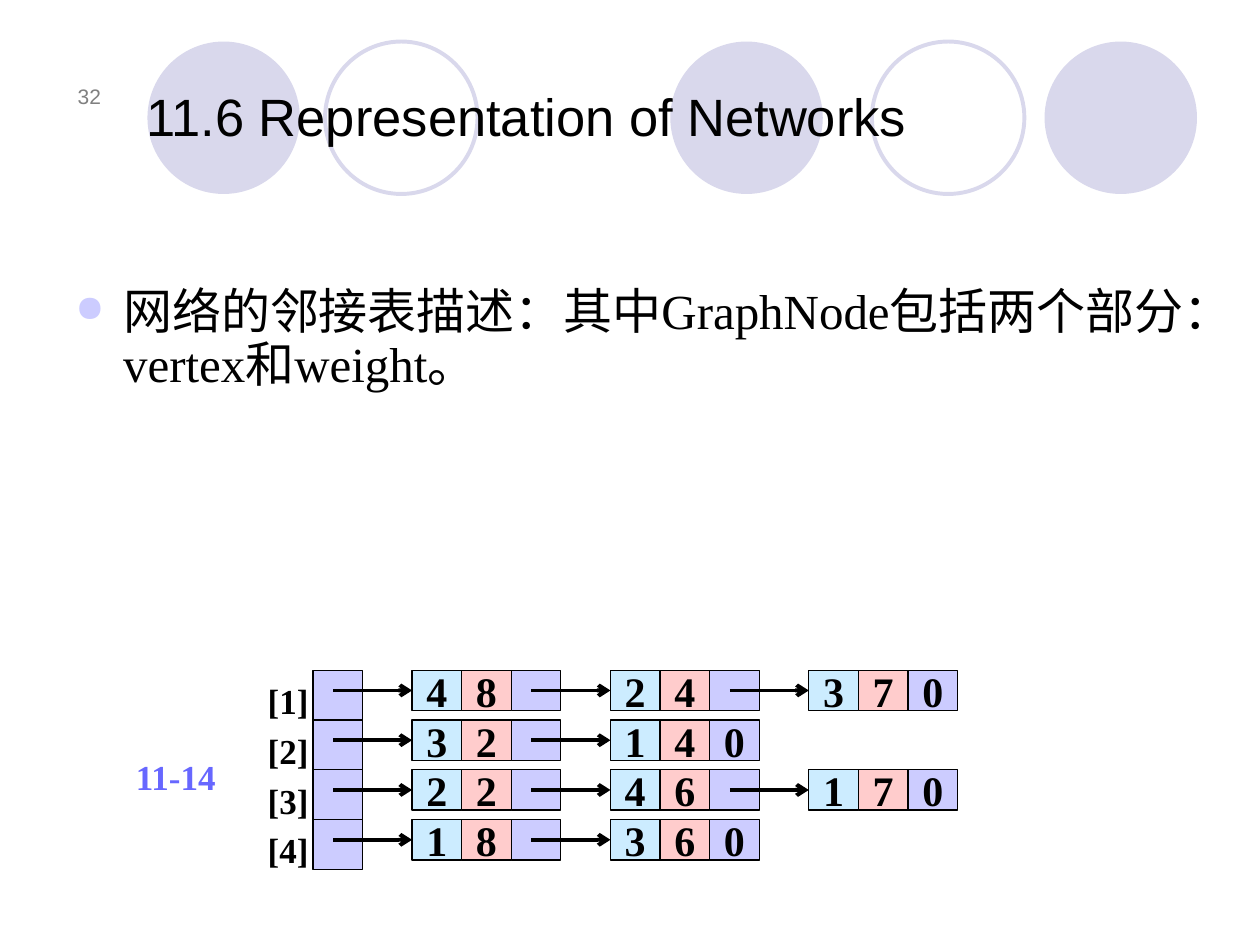
from lxml import etree
from pptx import Presentation
from pptx import util as u
from pptx.dml.color import RGBColor
from pptx.enum import shapes, text
from pptx.oxml.ns import qn

COLORS = {
    "ink": "000000",
    "circle": "D9D8EC",
    "number": "808080",
    "link": "CCCCFF",
    "vertex": "CCECFF",
    "weight": "FFCCCC",
    "figure": "6767FF",
}
SANS, SERIF = "Arial", "Times New Roman"
ADJACENCY = [
    [(4, 8), (2, 4), (3, 7)],
    [(3, 2), (1, 4)],
    [(2, 2), (4, 6), (1, 7)],
    [(1, 8), (3, 6)],
]


def color(name):
    return RGBColor.from_string(COLORS[name])


def set_text(sp, value, size, name=SERIF, ink="ink", bold=False,
             align=text.PP_ALIGN.LEFT, anchor=text.MSO_ANCHOR.TOP, wrap=True):
    tf = sp.text_frame
    tf.text = value
    tf.word_wrap = wrap
    tf.vertical_anchor = anchor
    p = tf.paragraphs[0]
    p.alignment = align
    f = p.runs[0].font
    f.name, f.size, f.bold = name, u.Pt(size), bold
    f.color.rgb = color(ink)
    return p


def set_centered(sp, value, size):
    set_text(sp, value, size, bold=True, align=text.PP_ALIGN.CENTER,
             anchor=text.MSO_ANCHOR.MIDDLE, wrap=False)
    sp.text_frame.margin_left = sp.text_frame.margin_right = 0


def add_circles(s, left, top, size):
    for dx, filled in [(0, True), (1.41, False), (4.15, True), (5.75, False), (7.12, True)]:
        sp = s.shapes.add_shape(shapes.MSO_SHAPE.OVAL, left + u.Inches(dx), top, size, size)
        sp.shadow.inherit = False
        if filled:
            sp.fill.solid()
            sp.fill.fore_color.rgb = color("circle")
            sp.line.fill.background()
        else:
            sp.fill.background()
            sp.line.color.rgb = color("circle")
            sp.line.width = u.Pt(2.25)


def add_title(s, left, top, width, height):
    title = s.shapes.title
    title.left, title.top, title.width, title.height = left, top, width, height
    set_text(title, "11.6 Representation of Networks", 30, SANS, anchor=text.MSO_ANCHOR.BOTTOM)
    s.shapes.element.append(title.element)


def add_number(s, left, top, width, height):
    sp = s.shapes.add_textbox(left, top, width, height)
    set_text(sp, "32", 12, SANS, "number", align=text.PP_ALIGN.RIGHT,
             anchor=text.MSO_ANCHOR.BOTTOM)


def add_body(s, left, top, width, height):
    sp = s.shapes.add_textbox(left, top, width, height)
    p = set_text(sp, "网络的邻接表描述：其中GraphNode包括两个部分：vertex和weight。", 28)
    p.line_spacing = 0.9
    pPr = p._p.get_or_add_pPr()
    pPr.set("marL", str(u.Inches(0.38)))
    pPr.set("indent", str(-u.Inches(0.38)))
    clr = etree.SubElement(pPr, qn("a:buClr"))
    etree.SubElement(clr, qn("a:srgbClr"), val=COLORS["link"])
    etree.SubElement(pPr, qn("a:buSzPct"), val="75000")
    etree.SubElement(pPr, qn("a:buChar"), char="●")


def add_cell(s, left, top, width, height, fill, value=""):
    sp = s.shapes.add_shape(shapes.MSO_SHAPE.RECTANGLE, left, top, width, height)
    sp.shadow.inherit = False
    sp.fill.solid()
    sp.fill.fore_color.rgb = color(fill)
    sp.line.color.rgb = color("ink")
    sp.line.width = u.Pt(0.75)
    if value:
        set_centered(sp, value, 24)
    return sp


def add_arrow(s, left, y, target):
    c = s.shapes.add_connector(shapes.MSO_CONNECTOR.STRAIGHT, left, y, target.left, y)
    c.end_connect(target, 1)
    c.line.color.rgb = color("ink")
    c.line.width = u.Pt(2.25)
    etree.SubElement(c.line._get_or_add_ln(), qn("a:tailEnd"), type="arrow")
    etree.SubElement(c._element.spPr, qn("a:effectLst"))


def add_adjacency_list(s, left, top, width, height):
    cell_w, row_h = width // 14, height // len(ADJACENCY)
    node_h, tail = u.Inches(0.32), u.Inches(0.16)
    for i, nodes in enumerate(ADJACENCY):
        y = top + i * row_h
        label = s.shapes.add_textbox(left, y + u.Inches(0.08), cell_w, node_h)
        set_centered(label, f"[{i + 1}]", 20)
        link = add_cell(s, left + cell_w, y, cell_w, row_h, "link")
        for j, (vertex, weight) in enumerate(nodes):
            x = left + (3 + 4 * j) * cell_w
            end = "0" if j == len(nodes) - 1 else ""
            parts = [("vertex", str(vertex)), ("weight", str(weight)), ("link", end)]
            cells = [add_cell(s, x + k * cell_w, y, cell_w, node_h, fill, value)
                     for k, (fill, value) in enumerate(parts)]
            add_arrow(s, link.left + tail, y + node_h // 2, cells[0])
            link = cells[-1]


def add_figure_number(s, left, top, width, height):
    sp = s.shapes.add_textbox(left, top, width, height)
    set_text(sp, "11-14", 20, ink="figure", bold=True)


def main():
    prs = Presentation()
    prs.slide_width, prs.slide_height = u.Inches(10), u.Inches(7.5)
    s = prs.slides.add_slide(prs.slide_layouts[5])
    add_circles(s, u.Inches(1.17), u.Inches(0.33), u.Inches(1.21))
    add_number(s, u.Inches(0.35), u.Inches(0.44), u.Inches(0.55), u.Inches(0.47))
    add_title(s, u.Inches(1.06), u.Inches(0.21), u.Inches(8.94), u.Inches(1.01))
    add_body(s, u.Inches(0.5), u.Inches(2.23), u.Inches(9), u.Inches(4.37))
    add_adjacency_list(s, u.Inches(2.09), u.Inches(5.32), u.Inches(5.51), u.Inches(1.58))
    add_figure_number(s, u.Inches(0.98), u.Inches(5.95), u.Inches(1.1), u.Inches(0.43))
    prs.save("out.pptx")


if __name__ == "__main__":
    main()
